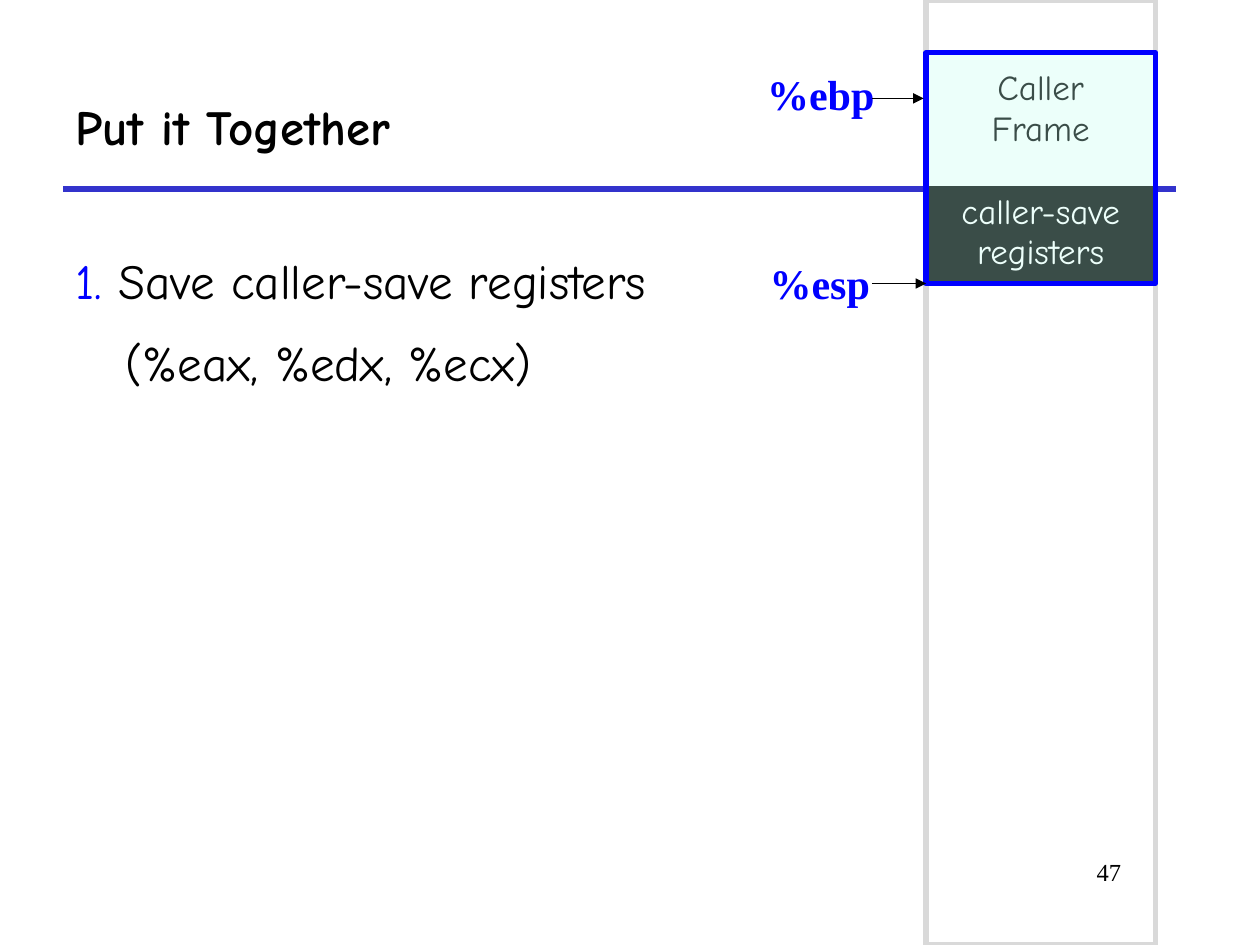
from dataclasses import dataclass
from lxml.etree import SubElement
from pptx import Presentation
from pptx.dml.color import RGBColor
from pptx.enum.shapes import MSO_CONNECTOR, MSO_SHAPE
from pptx.enum.text import MSO_ANCHOR, PP_ALIGN
from pptx.oxml import parse_xml
from pptx.oxml.ns import nsdecls, qn
from pptx.util import Pt

HEX = {"black": "000000", "white": "FFFFFF", "blue": "0000FF",
       "rule": "3333CC", "gray": "D9D9D9", "mint": "C2FFF0"}
COMIC, TIMES = "Comic Neue", "Times New Roman"

# Stack column geometry, in points
LEFT, WIDE = 529.2, 131
TOP, SAVE, END = 30.2, 106.6, 162


@dataclass
class Font:
    name: str
    size: float
    color: str = "black"
    bold: bool = False


@dataclass
class Pointer:
    text: str
    left: float
    top: float
    tip: float
    level: float


@dataclass
class Cell:
    text: str
    top: float
    inset: float
    color: str
    fill: str | None


POINTERS = [Pointer("%ebp", 431.3, 35.9, 527.8, 56.2),
            Pointer("%esp", 432.7, 143.9, LEFT, END)]
SAVED = Cell("caller-save registers", SAVE, 3.6, "white", "black")
CALLER = Cell("Caller\vFrame", TOP, 9.4, "black", None)


def rgb(name: str) -> RGBColor:
    return RGBColor.from_string(HEX[name])


def style(run, font: Font) -> None:
    run.font.name = font.name
    run.font.size = Pt(font.size)
    run.font.bold = font.bold
    run.font.color.rgb = rgb(font.color)


def write(slide, text: str, box: tuple, font: Font, align=PP_ALIGN.LEFT,
          anchor=MSO_ANCHOR.TOP):
    frame = slide.shapes.add_textbox(*map(Pt, box)).text_frame
    frame.text = text
    frame.word_wrap = True
    frame.vertical_anchor = anchor
    para = frame.paragraphs[0]
    para.alignment = align
    for run in para.runs:
        style(run, font)
    return para


def draw_line(slide, ends: tuple, color: str, width: float, arrow: bool = False) -> None:
    line = slide.shapes.add_connector(MSO_CONNECTOR.STRAIGHT, *map(Pt, ends))
    line.line.color.rgb = rgb(color)
    line.line.width = Pt(width)
    if arrow:
        SubElement(line.line._get_or_add_ln(), qn("a:tailEnd"), type="triangle")
    SubElement(line._element.spPr, qn("a:effectLst"))


def draw_rect(slide, top: float, bottom: float, color: str):
    rect = slide.shapes.add_shape(MSO_SHAPE.RECTANGLE, Pt(LEFT), Pt(top),
                                  Pt(WIDE), Pt(bottom - top))
    rect.shadow.inherit = False
    rect.fill.background()
    rect.line.color.rgb = rgb(color)
    rect.line.width = Pt(3)
    return rect


def draw_cell(slide, item: Cell) -> None:
    table = slide.shapes.add_table(1, 1, Pt(LEFT), Pt(item.top), Pt(WIDE),
                                   Pt(END - item.top)).table
    table.first_row = table.horz_banding = False
    cell = table.cell(0, 0)
    cell.margin_top = Pt(item.inset)
    cell.text_frame.text = item.text
    para = cell.text_frame.paragraphs[0]
    para.alignment = PP_ALIGN.CENTER
    for run in para.runs:
        style(run, Font(COMIC, 20, item.color))
    if item.fill:
        cell.fill.solid()
        cell.fill.fore_color.rgb = rgb(item.fill)
    else:
        cell.fill.background()
    # Borders come before the fill
    for spot, side in enumerate("LRTB"):
        cell._tc.tcPr.insert(spot, parse_xml(
            f'<a:ln{side} {nsdecls("a")} w="{Pt(1.08)}"><a:solidFill>'
            f'<a:srgbClr val="{HEX["black"]}"/></a:solidFill></a:ln{side}>'))


def main() -> None:
    deck = Presentation()
    deck.slide_width, deck.slide_height = Pt(720), Pt(540)
    slide = deck.slides.add_slide(deck.slide_layouts[6])

    # Title rule and stack column
    draw_line(slide, (36, 108, 672, 108), "rule", 3)
    draw_rect(slide, 0, 540, "gray")
    draw_cell(slide, SAVED)

    # Page number, title and step
    write(slide, "47", (545.8, 486, 102, 36), Font(TIMES, 14), PP_ALIGN.RIGHT)
    write(slide, "Put it Together", (36, 36, 636, 72), Font(COMIC, 28, bold=True),
          anchor=MSO_ANCHOR.MIDDLE)
    step = write(slide, "1. ", (36, 126, 684, 348), Font(COMIC, 28, "blue"))
    step.line_spacing = 1.4
    step.space_before = Pt(7)
    props = step._p.get_or_add_pPr()
    props.set("marL", str(Pt(28.8)))
    props.set("indent", str(Pt(-28.8)))
    for number, text in enumerate(("Save caller-save registers", "(%eax, %edx, %ecx)")):
        if number:
            step.add_line_break()
        run = step.add_run()
        run.text = text
        style(run, Font(COMIC, 28))

    # Caller frame under a tinted overlay
    draw_cell(slide, CALLER)
    tint = draw_rect(slide, TOP, END, "blue")
    tint.fill.solid()
    tint.fill.fore_color.rgb = rgb("mint")
    shade = tint._element.spPr.find(qn("a:solidFill"))[0]
    SubElement(shade, qn("a:alpha"), val="30000")

    # Register pointers
    for item in POINTERS:
        write(slide, item.text, (item.left, item.top, 80, 36),
              Font(TIMES, 24, "blue", True))
        draw_line(slide, (498.2, item.level, item.tip, item.level), "black", 0.75, True)

    deck.save("out.pptx")


if __name__ == "__main__":
    main()
